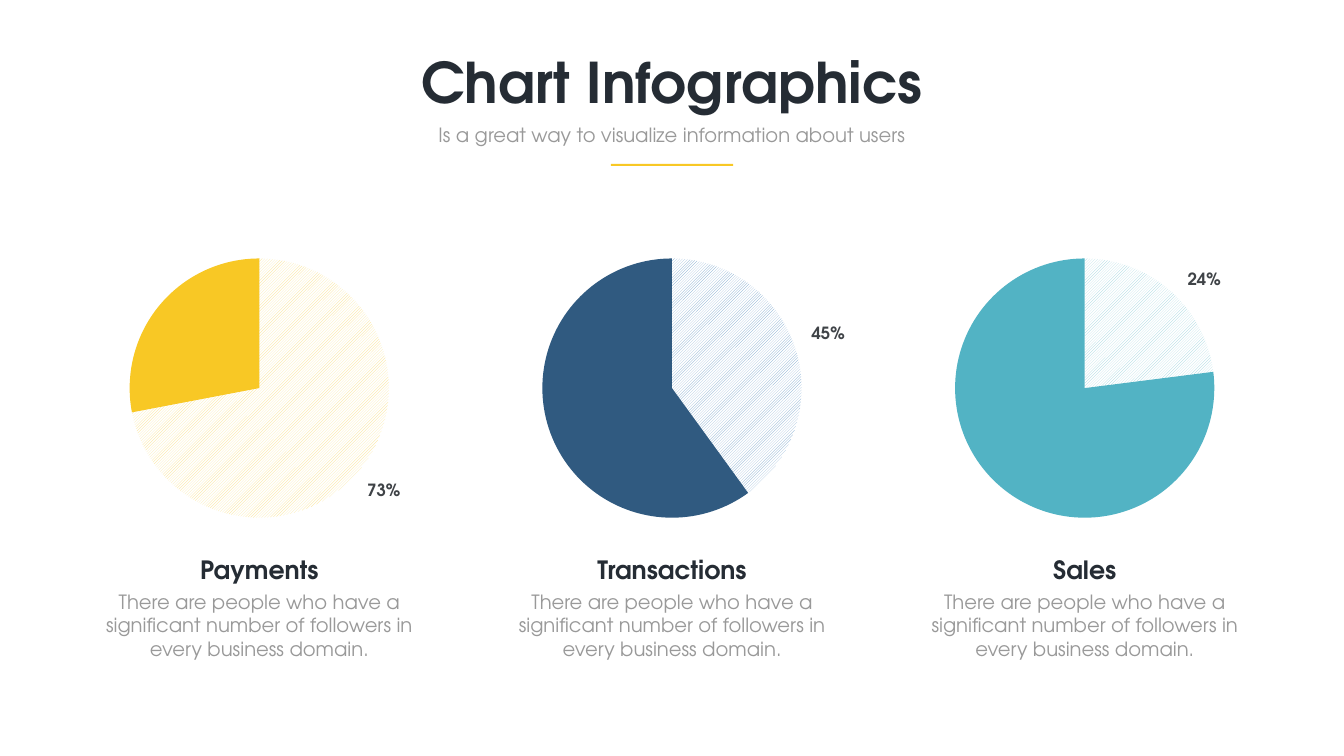
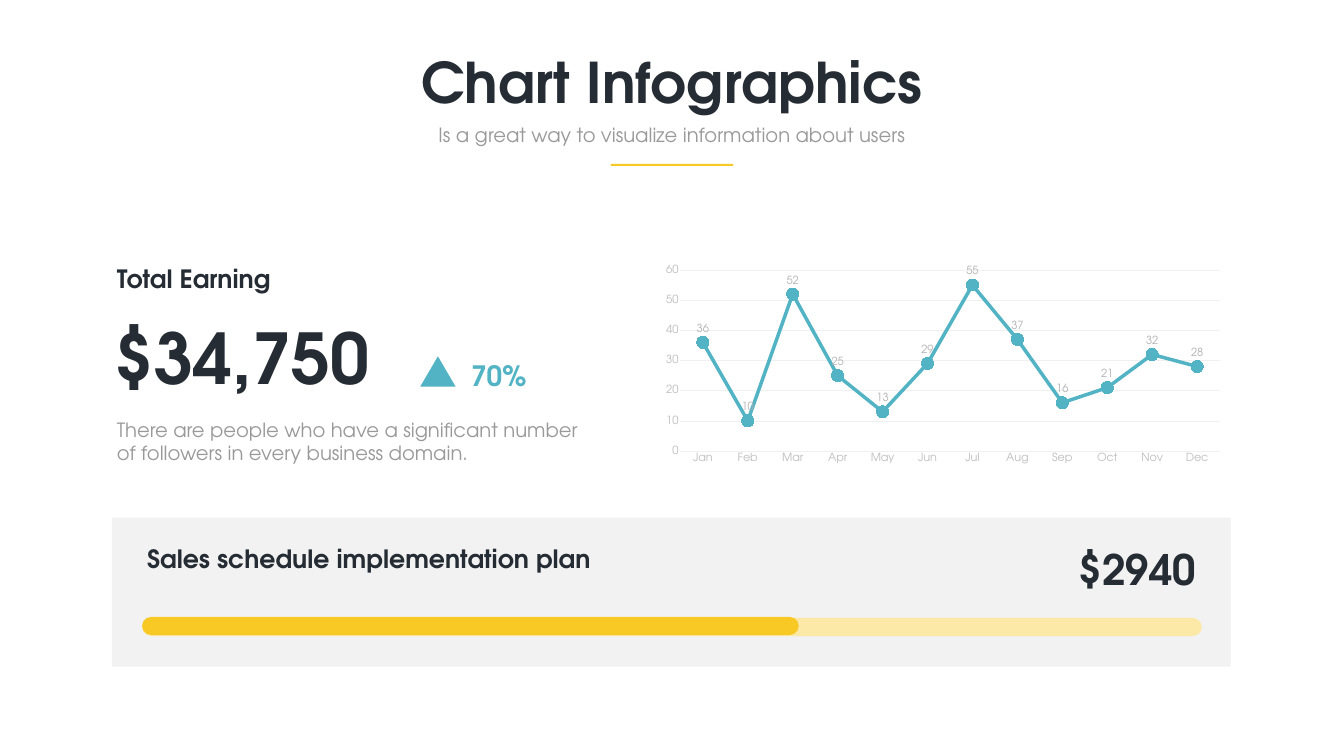
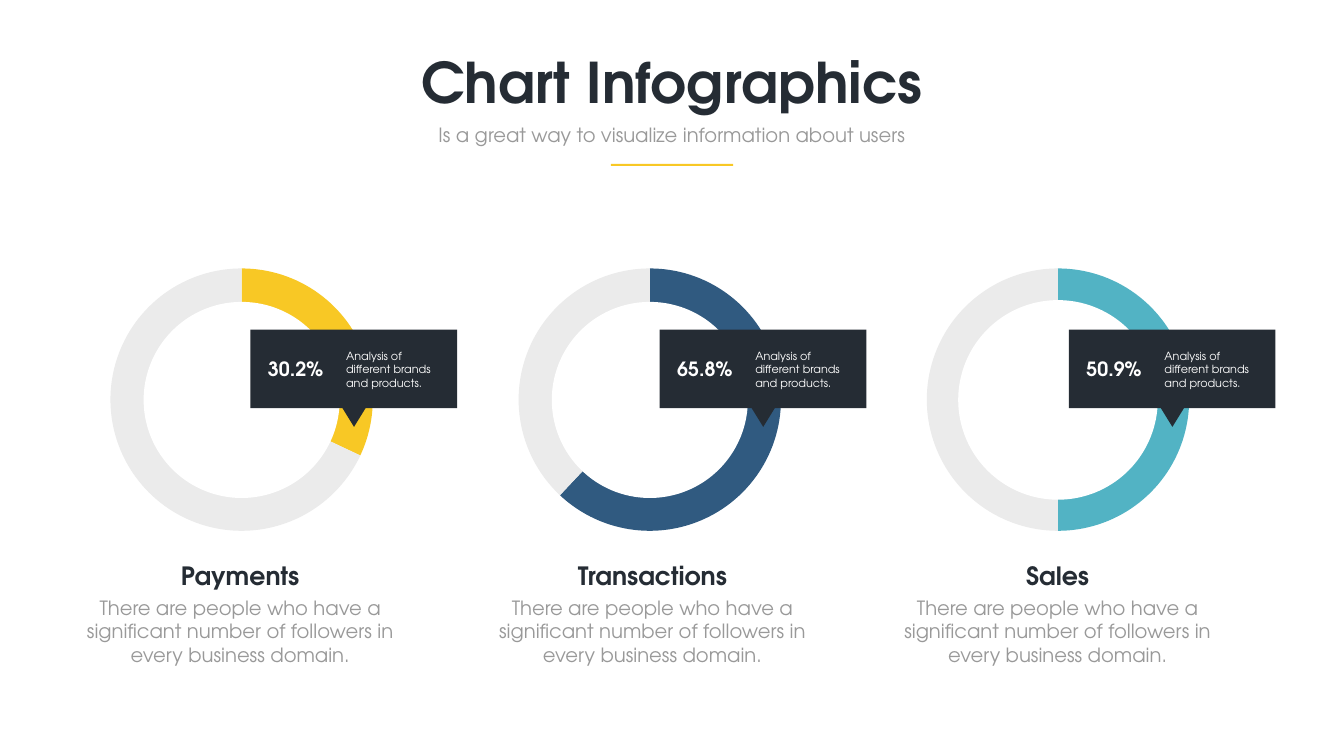
from pptx import Presentation
from pptx.chart.data import CategoryChartData
from pptx.dml.color import RGBColor
from pptx.enum.chart import (XL_CHART_TYPE, XL_LABEL_POSITION,
                             XL_MARKER_STYLE, XL_TICK_MARK)
from pptx.enum.dml import MSO_PATTERN
from pptx.enum.shapes import MSO_SHAPE
from pptx.enum.text import MSO_ANCHOR, MSO_AUTO_SIZE, PP_ALIGN
from pptx.oxml import parse_xml
from pptx.oxml.ns import nsdecls
from pptx.util import Inches, Pt

# Shared look
FACE = "TeX Gyre Adventor"
DARK, GRAY, WHITE = "252C34", "999999", "FFFFFF"
GOLD, BLUE, TEAL = "F8C825", "305A80", "52B3C4"
PALE, RING, GRID = "F2F2F2", "EBEBEB", "F0F0F0"
HUES = [GOLD, BLUE, TEAL]
HEADS = ["Payments", "Transactions", "Sales"]
STORY = ("There are people who have a significant number "
         "of followers in every business domain.")
MONTHS = "Jan Feb Mar Apr May Jun Jul Aug Sep Oct Nov Dec".split()
LEFT, MID, RIGHT = PP_ALIGN.LEFT, PP_ALIGN.CENTER, PP_ALIGN.RIGHT


def color(code):
    return RGBColor.from_string(code)


def box(*place):
    return [Inches(n) for n in place]


def paint(fill, code):
    fill.solid()
    fill.fore_color.rgb = color(code)


def style(font, size, code, bold=False, face=FACE):
    font.name, font.size, font.bold = face, Pt(size), bold
    font.color.rgb = color(code)


def text(shapes, place, words, size, code=DARK, bold=True, align=LEFT, tight=False):
    frame = shapes.add_textbox(*box(*place)).text_frame
    frame.word_wrap = True
    frame.auto_size = MSO_AUTO_SIZE.SHAPE_TO_FIT_TEXT
    if tight:
        frame.vertical_anchor = MSO_ANCHOR.MIDDLE
        frame.margin_left = frame.margin_right = Inches(0.06)
        frame.margin_top = frame.margin_bottom = Inches(0.06)
    line = frame.paragraphs[0]
    line.text, line.alignment = words, align
    style(line.font, size, code, bold)


def block(shapes, kind, place, code, turn=0):
    shape = shapes.add_shape(kind, *box(*place))
    shape.shadow.inherit = False
    shape.rotation = turn
    paint(shape.fill, code)
    shape.line.fill.background()
    return shape


def chart(shapes, kind, place, names, values):
    data = CategoryChartData()
    data.categories = names
    data.add_series("Series 1", values)
    made = shapes.add_chart(kind, *box(*place), data).chart
    made.has_legend = made.has_title = False
    return made


def pie(shapes, place, share):
    made = chart(shapes, XL_CHART_TYPE.PIE, place, ["1", "2"], [share, 100 - share])
    style(made.font, 10, GRAY, face="Calibri")
    made.plots[0].vary_by_categories = False
    series = made.plots[0].series[0]
    paint(series.format.fill, "D9DDE0")
    parts = [series.points[i].format for i in range(2)]
    for part in parts:
        part.line.fill.background()
    return made, [part.fill for part in parts]


def hatch(fill, code):
    fill.patterned()
    fill.pattern = MSO_PATTERN.WIDE_UPWARD_DIAGONAL
    fill.fore_color.rgb = color(code)
    fill.back_color.rgb = color(WHITE)


def fit(made):
    """Stretch the plot over nearly the whole chart frame."""
    area = made._chartSpace.chart.plotArea
    for old in area.findall("{*}layout"):
        area.remove(old)
    sizes = {"x": 0.005, "y": 0.005, "w": 0.99, "h": 0.988}
    tags = '<c:layoutTarget val="inner"/>'
    tags += "".join(f'<c:{k}Mode val="edge"/>' for k in "xy")
    tags += "".join(f'<c:{k} val="{v}"/>' for k, v in sizes.items())
    area.insert(0, parse_xml(f'<c:layout {nsdecls("c")}><c:manualLayout>{tags}'
                             "</c:manualLayout></c:layout>"))


def ring(slide, left, share, code, hole):
    shapes = slide.shapes.add_group_shape().shapes
    top, size = 5.3, 5.27
    made, (main, rest) = pie(shapes, (left, top, size, size), share)
    paint(main, code)
    paint(rest, RING)
    fit(made)
    gap = (size - hole) / 2
    block(shapes, MSO_SHAPE.OVAL, (left + gap, top + gap, hole, hole), WHITE)


def callout(slide, left, value):
    shapes = slide.shapes.add_group_shape().shapes
    block(shapes, MSO_SHAPE.RECTANGLE, (left, 6.54, 4.1, 1.56), DARK, 180)
    block(shapes, MSO_SHAPE.ISOSCELES_TRIANGLE, (left + 1.71, 7.91, 0.69, 0.56), DARK, 180)
    text(shapes, (left + 0.25, 7.03, 1.8, 0.57), value, 28, WHITE)
    text(shapes, (left + 1.8, 6.88, 2.14, 0.91),
         "Analysis of different brands and products.", 16, WHITE, False)


def caption(shapes, left, top, head):
    text(shapes, (left, top + 0.71, 6.81, 1.51), STORY, 28, GRAY, False, MID)
    text(shapes, (left + 0.26, top, 6.29, 0.71), head, 36, align=MID)


def start(deck):
    """Add a blank slide with the common heading."""
    slide = deck.slides.add_slide(deck.slide_layouts[6])
    shapes = slide.shapes.add_group_shape().shapes
    text(shapes, (6.88, 0.9, 12.91, 1.45), "Chart Infographics", 80, align=MID)
    text(shapes, (8.55, 2.38, 9.56, 0.57),
         "Is a great way to visualize information about users", 28, GRAY, False, MID)
    block(shapes, MSO_SHAPE.RECTANGLE, (12.12, 3.25, 2.43, 0.04), GOLD)
    return slide


def trend(shapes):
    made = chart(shapes, XL_CHART_TYPE.LINE_MARKERS, (12.99, 5.17, 11.44, 4.11), MONTHS,
                 [36, 10, 52, 25, 13, 29, 55, 37, 16, 21, 32, 28])
    style(made.font, 16, GRAY)
    # Axes
    across, up = made.category_axis, made.value_axis
    for axis in (across, up):
        axis.major_tick_mark = axis.minor_tick_mark = XL_TICK_MARK.NONE
        style(axis.tick_labels.font, 16, "BDBDBD")
    up.minimum_scale, up.maximum_scale, up.major_unit = 0, 60, 10
    up.has_major_gridlines = True
    up.format.line.fill.background()
    for line in (across.format.line, up.major_gridlines.format.line):
        paint(line.fill, GRID)
        line.width = Pt(0.75)
    # Series
    made.plots[0].vary_by_categories = False
    series = made.plots[0].series[0]
    series.smooth = False
    paint(series.format.line.fill, TEAL)
    series.format.line.width = Pt(5)
    mark = series.marker
    mark.style, mark.size = XL_MARKER_STYLE.CIRCLE, 17
    paint(mark.format.fill, WHITE)
    paint(mark.format.line.fill, TEAL)
    labels = series.data_labels
    labels.show_value, labels.position = True, XL_LABEL_POSITION.ABOVE
    style(labels.font, 16, "B2B2B2")


def pies(deck):
    shapes = start(deck).shapes
    step = 8.19
    tints = ["FBDE7C", "6D9DC8", "97D1DC"]
    for i, share in enumerate([72, 40, 23]):
        _, (main, rest) = pie(shapes, (2.32 + i * step, 4.99, 5.65, 5.42), share)
        hatch(main, tints[i])
        paint(rest, HUES[i])
    for left, top, value in [(6.88, 9.46, "73%"), (15.7, 6.35, "45%"), (23.16, 5.28, "24%")]:
        text(shapes, (left, top, 1.47, 0.52), value, 24, "3F4347", align=MID, tight=True)
    for i, head in enumerate(HEADS):
        caption(shapes, 1.74 + i * step, 10.94, head)


def earning(deck):
    shapes = start(deck).shapes
    # Total
    text(shapes, (2.22, 5.17, 6.29, 0.71), "Total Earning", 36)
    text(shapes, (2.22, 6.18, 6.47, 1.8), "$34,750", 100, tight=True)
    text(shapes, (2.22, 8.24, 9.48, 1.04), STORY, 28, GRAY, False)
    # Plan with progress bar
    block(shapes, MSO_SHAPE.RECTANGLE, (2.22, 10.27, 22.2, 2.96), PALE)
    text(shapes, (2.82, 10.73, 10.18, 0.71), "Sales schedule implementation plan", 36)
    text(shapes, (13.66, 10.73, 10.18, 1.11), "$2940", 60, align=RIGHT)
    for top, width, code in [(12.26, 21.03, "FCE9A8"), (12.24, 13.03, GOLD)]:
        bar = block(shapes, MSO_SHAPE.ROUNDED_RECTANGLE, (2.82, top, width, 0.36), code)
        bar.adjustments[0] = 0.5
    # Growth
    text(shapes, (9.25, 7.07, 1.87, 0.77), "70%", 40, TEAL)
    block(shapes, MSO_SHAPE.ISOSCELES_TRIANGLE, (8.34, 7.07, 0.7, 0.6), TEAL)
    trend(shapes)


def rings(deck):
    slide = start(deck)
    for i, (share, hole) in enumerate([(32, 3.89), (62, 3.89), (50, 3.96)]):
        ring(slide, 2.16 + i * 8.1, share, HUES[i], hole)
    for i, value in enumerate(["30.2%", "65.8%", "50.9%"]):
        callout(slide, 4.97 + i * 8.12, value)
    for left, head in zip([1.36, 9.54, 17.58], HEADS):
        caption(slide.shapes.add_group_shape().shapes, left, 11.06, head)


def main():
    deck = Presentation()
    deck.slide_width, deck.slide_height = box(26.67, 15)
    pies(deck)
    earning(deck)
    rings(deck)
    deck.save("out.pptx")


if __name__ == "__main__":
    main()
